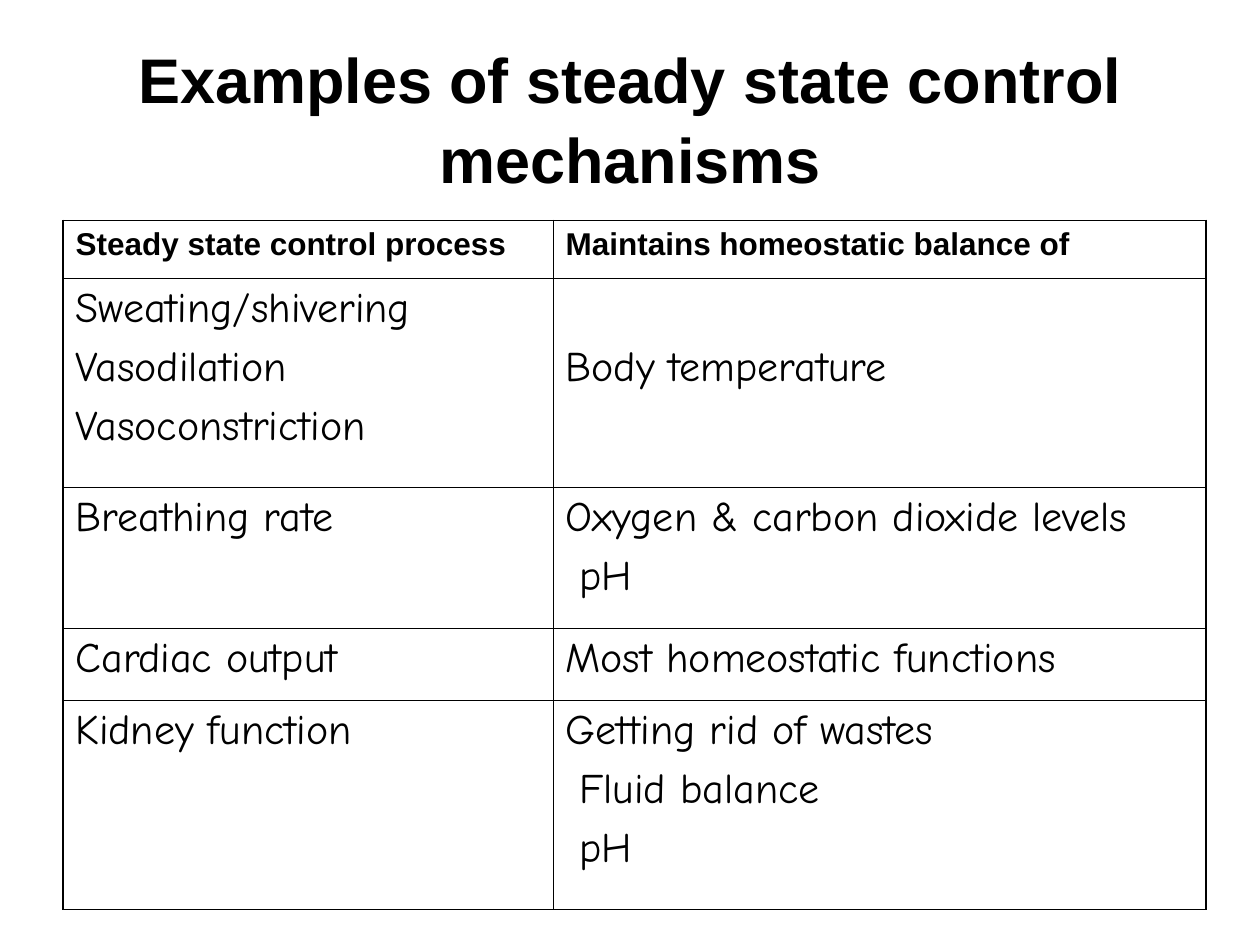
from lxml.etree import SubElement as Sub
from pptx import Presentation
from pptx.dml.color import RGBColor as Rgb
from pptx.enum.text import MSO_ANCHOR as Anchor, MSO_AUTO_SIZE as Fit, PP_ALIGN as Align
from pptx.oxml.ns import qn
from pptx.util import Inches, Pt

INK = "000000"
THIN, THICK = 0.45, 1.08
COLS = [3.89, 5.18]
ROWS = [
    (0.46, ["Steady state control process"], ["Maintains homeostatic balance of"]),
    (1.66, ["Sweating/shivering", "Vasodilation", "Vasoconstriction"], ["Body temperature"]),
    (1.12, ["Breathing rate"], ["Oxygen & carbon dioxide levels", "pH"]),
    (0.57, ["Cardiac output"], ["Most homeostatic functions"]),
    (1.66, ["Kidney function"], ["Getting rid of wastes", "Fluid balance", "pH"]),
]


def paint(font, tint):
    font.color.rgb = Rgb.from_string(tint)


def style(para, name, size, bold):
    for run in para.runs:
        run.font.name = name
        run.font.size = Pt(size)
        run.font.bold = bold
        paint(run.font, INK)


def border(cell, sides):
    props = cell._tc.get_or_add_tcPr()
    for side, width in sides.items():
        line = Sub(props, qn("a:ln" + side), w=str(Pt(width)))
        fill = Sub(line, qn("a:solidFill"))
        Sub(fill, qn("a:srgbClr"), val=INK)


def fill_cell(cell, lines, head, inset):
    frame = cell.text_frame
    frame.text = "\n".join(lines)
    for i, para in enumerate(frame.paragraphs):
        if i:
            para.space_before = Pt(6)
            if inset:
                para._p.get_or_add_pPr().set("marL", str(Inches(0.11)))
        if head:
            style(para, "Arial", 18, True)
        else:
            style(para, "Comic Neue", 24, False)


def add_title(slide, box):
    title = slide.shapes.title
    title.left, title.top, title.width, title.height = map(Inches, box)
    frame = title.text_frame
    frame.text = "Examples of steady state control mechanisms"
    frame.auto_size = Fit.NONE
    frame.vertical_anchor = Anchor.MIDDLE
    para = frame.paragraphs[0]
    para.alignment = Align.CENTER
    para.line_spacing = 1.05
    style(para, "Arial", 36, True)


def add_grid(slide, box):
    table = slide.shapes.add_table(len(ROWS), len(COLS), *map(Inches, box)).table
    table.first_row = table.horz_banding = False
    for col, width in zip(table.columns, COLS):
        col.width = Inches(width)
    last = len(ROWS) - 1
    for r, (height, *texts) in enumerate(ROWS):
        table.rows[r].height = Inches(height)
        for c, lines in enumerate(texts):
            cell = table.cell(r, c)
            fill_cell(cell, lines, r == 0, c == 1)
            border(cell, {
                "L": THIN if c else THICK,
                "R": THICK if c else THIN,
                "T": THIN if r else THICK,
                "B": THICK if r == last else THIN,
            })
            cell.fill.background()
    table.cell(1, 1).margin_top = Inches(0.52)


def main():
    deck = Presentation()
    deck.slide_width, deck.slide_height = Inches(10), Inches(7.5)
    slide = deck.slides.add_slide(deck.slide_layouts[5])
    add_title(slide, (0.5, 0.3, 9, 1.25))
    add_grid(slide, (0.5, 1.75, sum(COLS), sum(row[0] for row in ROWS)))
    deck.save("out.pptx")


if __name__ == "__main__":
    main()
